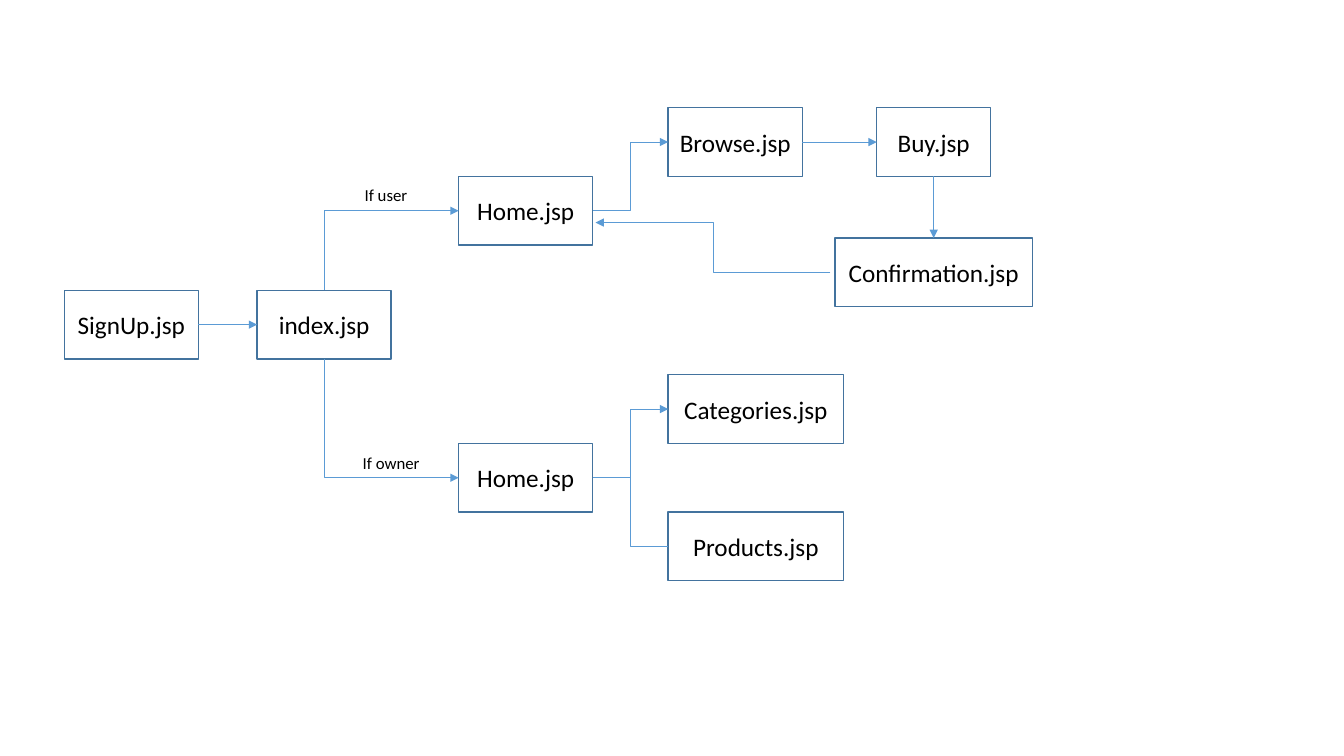
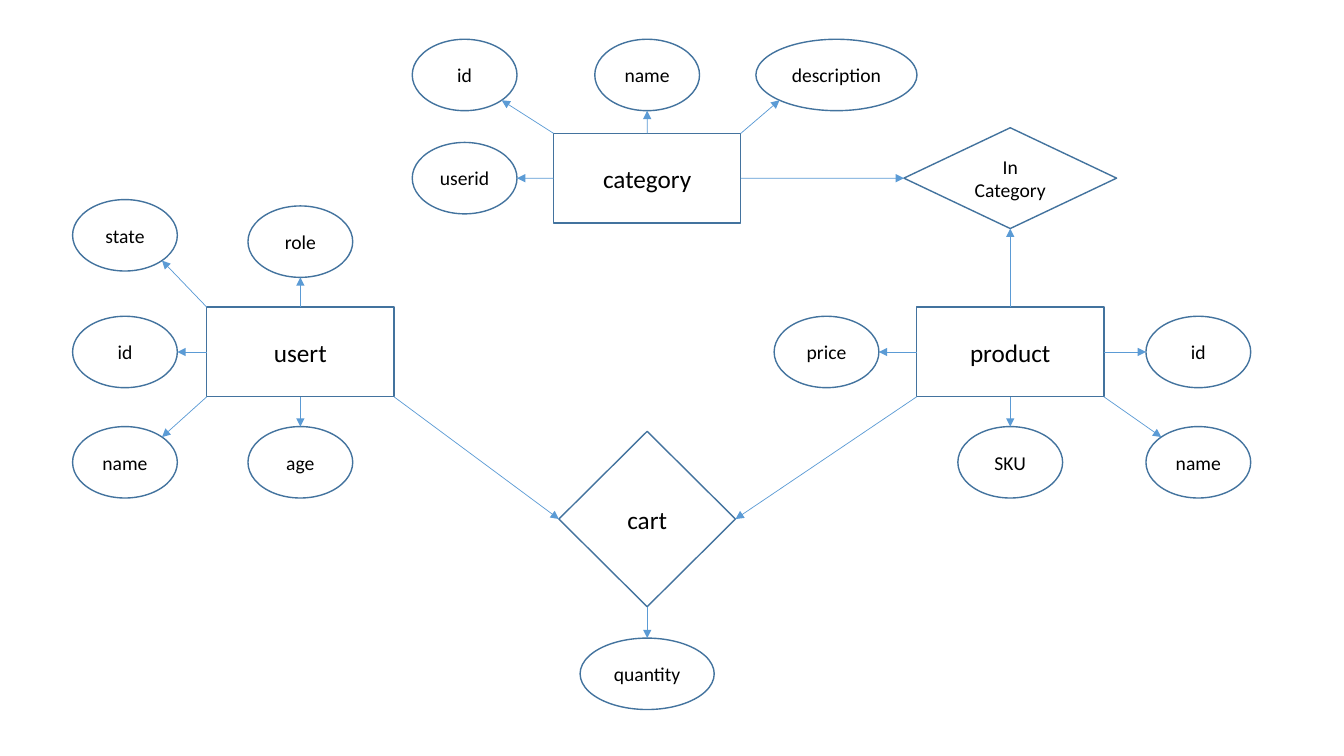
import dataclasses

import lxml.etree
import pptx
import pptx.dml.color
import pptx.enum.shapes
import pptx.enum.text
import pptx.oxml.ns
import pptx.util

Cm = pptx.util.Cm
Pt = pptx.util.Pt
RGB = pptx.dml.color.RGBColor
Kind = pptx.enum.shapes.MSO_SHAPE
Wire = pptx.enum.shapes.MSO_CONNECTOR
qn = pptx.oxml.ns.qn


@dataclasses.dataclass(frozen=True)
class Theme:
    font: str = "Calibri"
    ink: RGB = RGB(0x00, 0x00, 0x00)
    edge: RGB = RGB(0x43, 0x73, 0x9E)
    wire: RGB = RGB(0x5B, 0x9B, 0xD5)
    large: int = 18
    mid: int = 14
    small: int = 12
    edge_pt: float = 1
    wire_pt: float = 0.5


THEME = Theme()

# Direction of each side from the centre of a shape
SIDES = {"n": (0, -1), "nw": (-1, -1), "w": (-1, 0), "sw": (-1, 1),
         "s": (0, 1), "se": (1, 1), "e": (1, 0), "ne": (1, -1)}
FLIP = {"n": "s", "nw": "se", "w": "e", "sw": "ne",
        "s": "n", "se": "nw", "e": "w", "ne": "sw"}
ROUND = list(SIDES)
SQUARE = ["n", "w", "s", "e"]


def style(frame, size, align=None):
    for para in frame.paragraphs:
        para.alignment = align
        para.font.name = THEME.font
        para.font.size = Pt(size)
        para.font.color.rgb = THEME.ink


def add_node(slide, kind, text, spot, size, points):
    """Draw an outlined shape around its centre, in centimetres."""
    (x, y), (w, h) = spot, size
    node = slide.shapes.add_shape(
        kind, Cm(x - w / 2), Cm(y - h / 2), Cm(w), Cm(h))
    node.shadow.inherit = False
    node.fill.background()
    node.line.color.rgb = THEME.edge
    node.line.width = Pt(THEME.edge_pt)
    frame = node.text_frame
    frame.margin_left = frame.margin_right = 0
    frame.text = text
    style(frame, points, pptx.enum.text.PP_ALIGN.CENTER)
    return node


def add_label(slide, text, x, y, w):
    box = slide.shapes.add_textbox(Cm(x), Cm(y), Cm(w), Cm(0.76))
    box.text_frame.word_wrap = False
    box.text_frame.text = text
    style(box.text_frame, THEME.small)


def add_wire(slide, kind, start, end, tip="tailEnd"):
    """Draw a line between two points; tip names the end with the arrow."""
    wire = slide.shapes.add_connector(kind, *start, *end)
    wire.line.color.rgb = THEME.wire
    wire.line.width = Pt(THEME.wire_pt)
    props = wire._element.spPr
    if tip:
        lxml.etree.SubElement(props.find(qn("a:ln")), qn("a:" + tip),
                              type="triangle")
    lxml.etree.SubElement(props, qn("a:effectLst"))
    return wire


def is_round(node):
    return node.auto_shape_type == Kind.OVAL


def find_spot(node, side):
    dx, dy = SIDES[side]
    reach = 0.5 ** 0.5 if is_round(node) and dx and dy else 1
    return (int(node.left + node.width * (1 + dx * reach) / 2),
            int(node.top + node.height * (1 + dy * reach) / 2))


def link(slide, start, side, end, goal, kind=Wire.STRAIGHT, tip="tailEnd"):
    """Join two nodes, glued wherever the side is a connection site."""
    wire = add_wire(slide, kind, find_spot(start, side),
                    find_spot(end, goal), tip)
    glue = wire._element.nvCxnSpPr.cNvCxnSpPr
    for tag, node, at in (("a:stCxn", start, side), ("a:endCxn", end, goal)):
        sites = ROUND if is_round(node) else SQUARE
        if at in sites:
            lxml.etree.SubElement(glue, qn(tag), id=str(node.shape_id),
                                  idx=str(sites.index(at)))
    return wire


def draw_flow(slide):
    high, wide, broad = 1.73, 3.38, 4.42
    mid, user, own = 8.18, 5.31, 12.04
    pages = {
        "sign": ("SignUp.jsp", 3.31, mid, wide),
        "index": ("index.jsp", 8.17, mid, wide),
        "user": ("Home.jsp", 13.25, user, wide),
        "owner": ("Home.jsp", 13.25, own, wide),
        "browse": ("Browse.jsp", 18.53, user - high, wide),
        "buy": ("Buy.jsp", 23.53, user - high, 2.87),
        "done": ("Confirmation.jsp", 23.53, 6.86, 4.98),
        "kinds": ("Categories.jsp", 19.05, own - high, broad),
        "goods": ("Products.jsp", 19.05, own + high, broad),
    }
    nodes = {key: add_node(slide, Kind.RECTANGLE, text, (x, y), (w, high),
                           THEME.large)
             for key, (text, x, y, w) in pages.items()}
    add_label(slide, "If user", 8.94, 4.52, 1.85)
    add_label(slide, "If owner", 8.89, 11.28, 1.96)

    for start, side, end, goal in (("sign", "e", "index", "w"),
                                   ("browse", "e", "buy", "w"),
                                   ("buy", "s", "done", "n")):
        link(slide, nodes[start], side, nodes[end], goal)
    for start, end, tip in (("user", "browse", "tailEnd"),
                            ("owner", "kinds", "tailEnd"),
                            ("owner", "goods", None)):
        link(slide, nodes[start], "e", nodes[end], "w", Wire.ELBOW, tip)
    # A single bend runs level first, so it starts at the arrow
    for home, side in (("user", "n"), ("owner", "s")):
        bend = link(slide, nodes[home], "w", nodes["index"], side,
                    Wire.ELBOW, "headEnd")
        bend._element.spPr.find(qn("a:prstGeom")).set("prst", "bentConnector2")
    add_wire(slide, Wire.ELBOW, (Cm(20.93), Cm(6.86)), (Cm(15.01), Cm(5.61)))


def draw_model(slide):
    left, mid, right = 7.57, 16.31, 25.46
    top, upper, row, low = 1.89, 4.49, 8.87, 11.65
    far, near, edge = 3.15, 11.71, 30.2
    box = (4.72, 2.26)
    hubs = {
        "usert": (Kind.RECTANGLE, (left, row), box, THEME.large),
        "product": (Kind.RECTANGLE, (right, row), box, THEME.large),
        "category": (Kind.RECTANGLE, (mid, upper), box, THEME.large),
        "cart": (Kind.DIAMOND, (mid, 13.08), (4.45, 4.42), THEME.large),
        "In\nCategory": (Kind.DIAMOND, (right, upper), (5.36, 2.54),
                         THEME.mid),
    }
    nodes = {text: add_node(slide, kind, text, spot, size, points)
             for text, (kind, spot, size, points) in hubs.items()}

    fields = (
        ("usert", "n", "role", left, 6.09),
        ("usert", "nw", "state", far, 5.93),
        ("usert", "w", "id", far, row),
        ("usert", "sw", "name", far, low),
        ("usert", "s", "age", left, low),
        ("category", "w", "userid", near, upper),
        ("category", "nw", "id", near, top),
        ("category", "n", "name", mid, top),
        ("category", "ne", "description", 21.08, top),
        ("product", "w", "price", 20.83, row),
        ("product", "s", "SKU", right, low),
        ("product", "se", "name", edge, low),
        ("product", "e", "id", edge, row),
        ("cart", "s", "quantity", mid, 16.98),
    )
    widths = {"description": 4.06, "quantity": 3.38}
    for hub, side, text, x, y in fields:
        field = add_node(slide, Kind.OVAL, text, (x, y),
                         (widths.get(text, 2.64), 1.8), THEME.mid)
        link(slide, nodes[hub], side, field, FLIP[side])

    for start, side, end, goal in (("usert", "se", "cart", "w"),
                                   ("product", "sw", "cart", "e"),
                                   ("product", "n", "In\nCategory", "s"),
                                   ("category", "e", "In\nCategory", "w")):
        link(slide, nodes[start], side, nodes[end], goal)


def main():
    deck = pptx.Presentation()
    deck.slide_width, deck.slide_height = Cm(33.87), Cm(19.05)
    blank = deck.slide_layouts[6]
    for draw in (draw_flow, draw_model):
        draw(deck.slides.add_slide(blank))
    deck.save("out.pptx")


if __name__ == "__main__":
    main()
